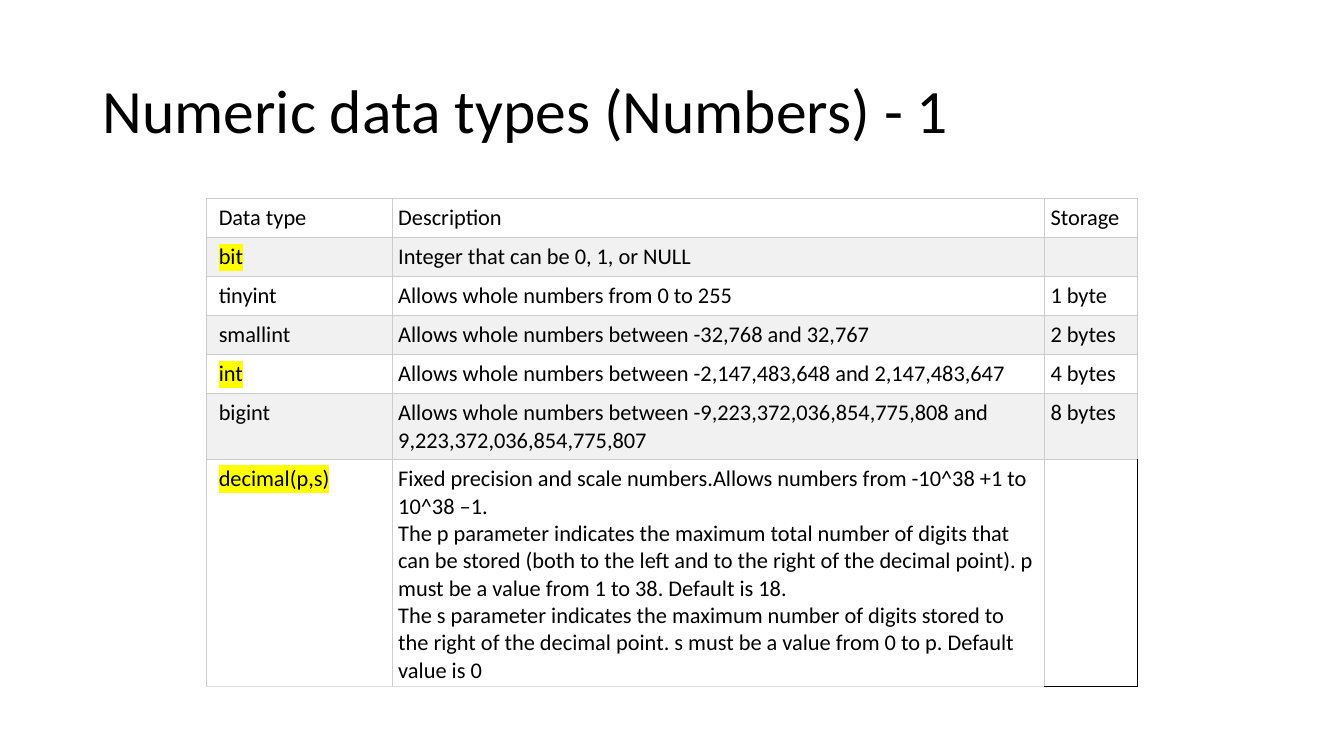
from dataclasses import dataclass

from lxml import etree
from pptx import Presentation
from pptx.dml.color import RGBColor
from pptx.enum import text as t
from pptx.oxml import ns
from pptx.util import Inches, Pt


@dataclass(frozen=True)
class Theme:
    font: str = "Calibri"
    ink: str = "000000"
    paper: str = "FFFFFF"
    band: str = "F1F1F1"
    rule: str = "CCCCCC"
    pale: str = "DDDDDD"
    mark: str = "FFFF00"
    title: int = 44
    body: int = 16
    line: float = 0.6
    edge: float = 1


THEME = Theme()
COLS = [1.84, 6.47, 0.92]
HEIGHTS = [0.38] * 5 + [0.64, 2.22]
MARKED = {"bit", "int", "decimal(p,s)"}
ROWS = [
    ("Data type", "Description", "Storage"),
    ("bit", "Integer that can be 0, 1, or NULL", ""),
    ("tinyint", "Allows whole numbers from 0 to 255", "1 byte"),
    ("smallint", "Allows whole numbers between -32,768 and 32,767", "2 bytes"),
    ("int", "Allows whole numbers between -2,147,483,648 and 2,147,483,647",
     "4 bytes"),
    ("bigint", "Allows whole numbers between -9,223,372,036,854,775,808 and "
     "9,223,372,036,854,775,807", "8 bytes"),
    ("decimal(p,s)",
     "Fixed precision and scale numbers.Allows numbers from -10^38 +1 to "
     "10^38 –1.\n"
     "The p parameter indicates the maximum total number of digits that can "
     "be stored (both to the left and to the right of the decimal point). "
     "p must be a value from 1 to 38. Default is 18.\n"
     "The s parameter indicates the maximum number of digits stored to the "
     "right of the decimal point. s must be a value from 0 to p. Default "
     "value is 0", ""),
]


def write(frame, words, size=THEME.body, color=THEME.ink, mark=None,
          space=None):
    """Fill a text frame, one paragraph for each line of words."""
    for i, line in enumerate(words.split("\n")):
        para = frame.add_paragraph() if i else frame.paragraphs[0]
        if space:
            para.line_spacing = space
        if not line:
            para._p.get_or_add_endParaRPr().set("sz", str(size * 100))
            continue
        run = para.add_run()
        run.text = line
        run.font.name = THEME.font
        run.font.size = Pt(size)
        run.font.color.rgb = RGBColor.from_string(color)
        if mark:
            glow = etree.Element(ns.qn("a:highlight"))
            etree.SubElement(glow, ns.qn("a:srgbClr"), val=mark)
            run._r.rPr.find(ns.qn("a:solidFill")).addnext(glow)


def border(cell, sides):
    """Draw cell borders from (side, colour, points), in L, R, T, B order."""
    props = cell._tc.get_or_add_tcPr()
    for i, (side, color, width) in enumerate(sides):
        line = etree.Element(ns.qn(f"a:ln{side}"), w=str(int(Pt(width))))
        fill = etree.SubElement(line, ns.qn("a:solidFill"))
        etree.SubElement(fill, ns.qn("a:srgbClr"), val=color)
        props.insert(i, line)


def add_title(slide, words):
    box = slide.shapes.add_textbox(
        Inches(0.92), Inches(0.4), Inches(11.5), Inches(1.45))
    box.text_frame.word_wrap = True
    box.text_frame.vertical_anchor = t.MSO_ANCHOR.MIDDLE
    write(box.text_frame, words, size=THEME.title, space=0.9)


def style(cell, row, col):
    """Set the margins, fill and borders that a cell's place calls for."""
    cell.margin_left = Inches(0.06 if col else 0.12)
    cell.margin_right = cell.margin_top = cell.margin_bottom = Inches(0.06)
    last = row == len(ROWS) - 1
    corner = last and col == len(COLS) - 1
    if corner:
        cell.fill.background()
    else:
        cell.fill.solid()
        shade = THEME.band if row % 2 else THEME.paper
        cell.fill.fore_color.rgb = RGBColor.from_string(shade)
    thin = (THEME.rule, THEME.line)
    dark = (THEME.ink, THEME.edge)
    right = dark if corner else thin
    low = dark if corner else (THEME.pale, THEME.line) if last else thin
    border(cell, [("L", *thin), ("R", *right), ("T", *thin), ("B", *low)])


def add_grid(slide):
    grid = slide.shapes.add_table(
        len(ROWS), len(COLS), Inches(2.05), Inches(1.97),
        Inches(sum(COLS)), Inches(sum(HEIGHTS))).table
    grid.first_row = grid.horz_banding = False
    for col, width in zip(grid.columns, COLS):
        col.width = Inches(width)
    for row, height in zip(grid.rows, HEIGHTS):
        row.height = Inches(height)
    for r, row in enumerate(ROWS):
        for c, words in enumerate(row):
            cell = grid.cell(r, c)
            style(cell, r, c)
            write(cell.text_frame, words,
                  mark=THEME.mark if words in MARKED else None)


def main():
    deck = Presentation()
    deck.slide_width, deck.slide_height = Inches(13.33), Inches(7.5)
    slide = deck.slides.add_slide(deck.slide_layouts[6])
    add_title(slide, "Numeric data types (Numbers) - 1")
    add_grid(slide)
    deck.save("out.pptx")


if __name__ == "__main__":
    main()
